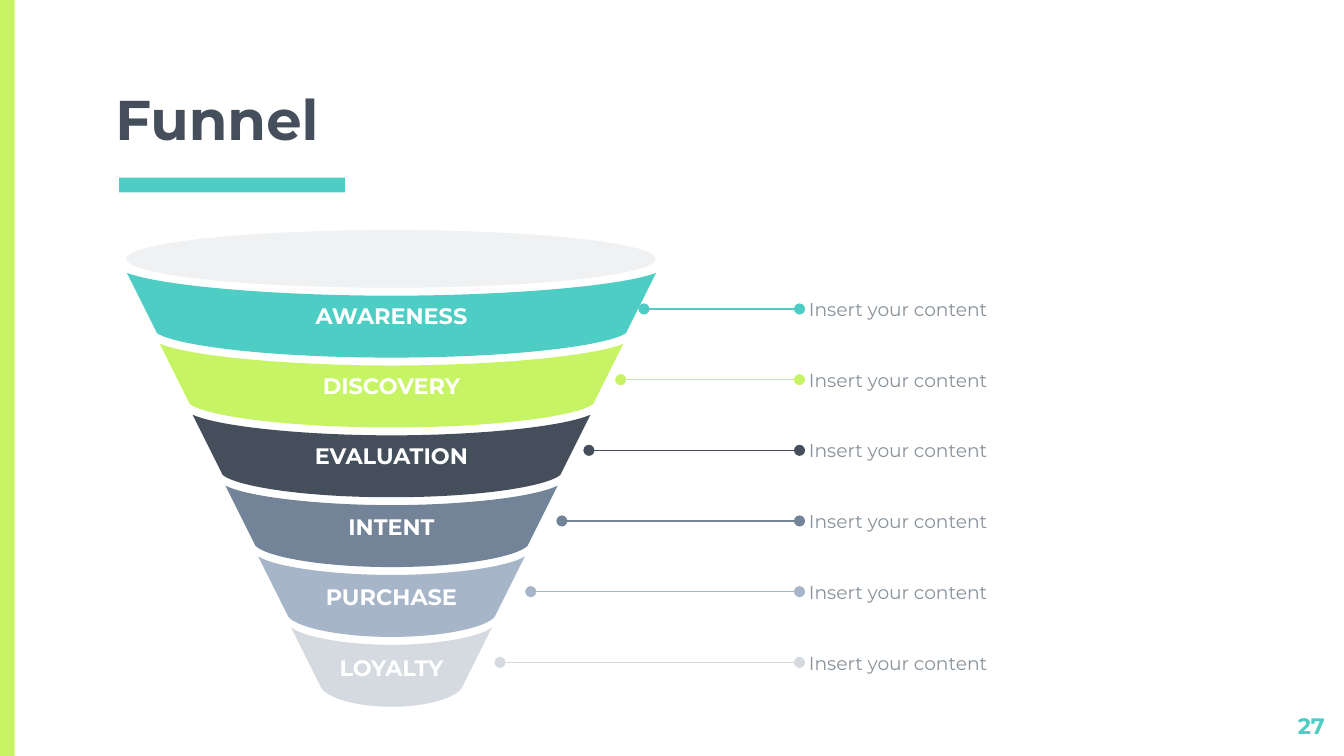
"""Build a slide with a six-stage funnel and a callout for each stage."""
from dataclasses import dataclass

from pptx import Presentation
from pptx import util as u
from pptx.dml.color import RGBColor
from pptx.enum import shapes, text
from pptx.oxml import ns
from lxml import etree

Cm = u.Cm


@dataclass(frozen=True)
class Theme:
    font: str = "Montserrat"
    teal: str = "4ECDC4"
    lime: str = "C7F464"
    dark: str = "454F5B"
    slate: str = "738498"
    steel: str = "A6B5C7"
    mist: str = "D4DAE0"
    pale: str = "EFF1F3"
    grey: str = "89929B"
    white: str = "FFFFFF"
    head: int = 30
    label: int = 12
    note: int = 10


theme = Theme()


def write(shape, words, size, color, bold=False, align="LEFT", anchor="MIDDLE", inset=(0, 0)):
    frame = shape.text_frame
    frame.word_wrap = True
    frame.auto_size = text.MSO_AUTO_SIZE.NONE
    frame.vertical_anchor = text.MSO_ANCHOR[anchor]
    frame.margin_left = frame.margin_right = Cm(inset[0])
    frame.margin_top = frame.margin_bottom = Cm(inset[1])
    para = frame.paragraphs[0]
    para.alignment = text.PP_ALIGN[align]
    run = para.add_run()
    run.text = words
    run.font.name = theme.font
    run.font.size = u.Pt(size)
    run.font.bold = bold
    run.font.color.rgb = RGBColor.from_string(color)


def paint(shape, color):
    shape.shadow.inherit = False
    shape.fill.solid()
    shape.fill.fore_color.rgb = RGBColor.from_string(color)
    shape.line.fill.background()


deck = Presentation()
deck.slide_width, deck.slide_height = Cm(25.4), Cm(14.29)
slide = deck.slides.add_slide(deck.slide_layouts[5])
items = slide.shapes

for box, color in (((0, 0, 0.28, 14.29), theme.lime), ((2.25, 3.36, 4.27, 0.28), theme.teal)):
    paint(items.add_shape(shapes.MSO_SHAPE.RECTANGLE, *map(Cm, box)), color)

title = items.title
title.left, title.top, title.width, title.height = map(Cm, (1.93, 1.75, 21.57, 1.37))
write(title, "Funnel", theme.head, theme.dark, bold=True, anchor="BOTTOM", inset=(0.25, 0.25))

page = items.add_textbox(Cm(23.77), Cm(13.22), Cm(1.52), Cm(0.86))
write(page, "27", theme.label, theme.teal, bold=True, align="RIGHT", anchor="TOP", inset=(0.25, 0.25))

stages = (
    ("AWARENESS", theme.teal, 12.17),
    ("DISCOVERY", theme.lime, 11.73),
    ("EVALUATION", theme.dark, 11.13),
    ("INTENT", theme.slate, 10.62),
    ("PURCHASE", theme.steel, 10.03),
    ("LOYALTY", theme.mist, 9.45),
)
mid, pitch, taper = 7.4, 1.34, 0.62
funnel = items.add_group_shape().shapes

for row, (name, color, start) in enumerate(stages):
    top = 5.16 + pitch * row
    edges = (
        (5 - taper * row, top, 0.43 - 0.02 * row, 0.86, 0.42, 0.6),
        (4.43 - taper * row, top + 1.14, 0.46 - 0.02 * row, 0.92, 0.53, 0.5),
    )
    rims = []
    for half, level, sag, near, far, lift in edges:
        curve = ((-1, 0), (-near, lift), (-far, 1), (0, 1), (far, 1), (near, lift), (1, 0))
        rims.append([(Cm(mid + half * x), Cm(level + sag * y)) for x, y in curve])
    points = rims[0][:1] + rims[1] + rims[0][::-1]
    outline = funnel.build_freeform(*points[0], scale=1.0)
    outline.add_line_segments(points[1:], close=True)
    band = outline.convert_to_shape()
    legs = list(band._element.iter(ns.qn("a:lnTo")))
    for first in (1, 4, 8, 11):
        bend, *rest = legs[first:first + 3]
        bend.tag = ns.qn("a:cubicBezTo")
        for leg in rest:
            bend.append(leg[0])
            leg.getparent().remove(leg)
    paint(band, color)
    write(band, name, theme.label, theme.white, bold=True, align="CENTER", inset=(0.18, 0.1))

    y = 5.84 + 6.68 * row / 5
    link = items.add_connector(shapes.MSO_CONNECTOR.STRAIGHT, Cm(start), Cm(y), Cm(15.11), Cm(y))
    link.line.color.rgb = RGBColor.from_string(color)
    link.line.width = u.Pt(0.75)
    props = link._element.spPr
    for end in ("a:headEnd", "a:tailEnd"):
        etree.SubElement(props.find(ns.qn("a:ln")), ns.qn(end), type="oval")
    etree.SubElement(props, ns.qn("a:effectLst"))
    note = items.add_textbox(Cm(15.29), Cm(y - 0.48), Cm(7.75), Cm(0.97))
    write(note, "Insert your content", theme.note, theme.grey)

paint(funnel.add_shape(shapes.MSO_SHAPE.OVAL, Cm(2.39), Cm(4.35), Cm(10), Cm(1.09)), theme.pale)

deck.save("out.pptx")
